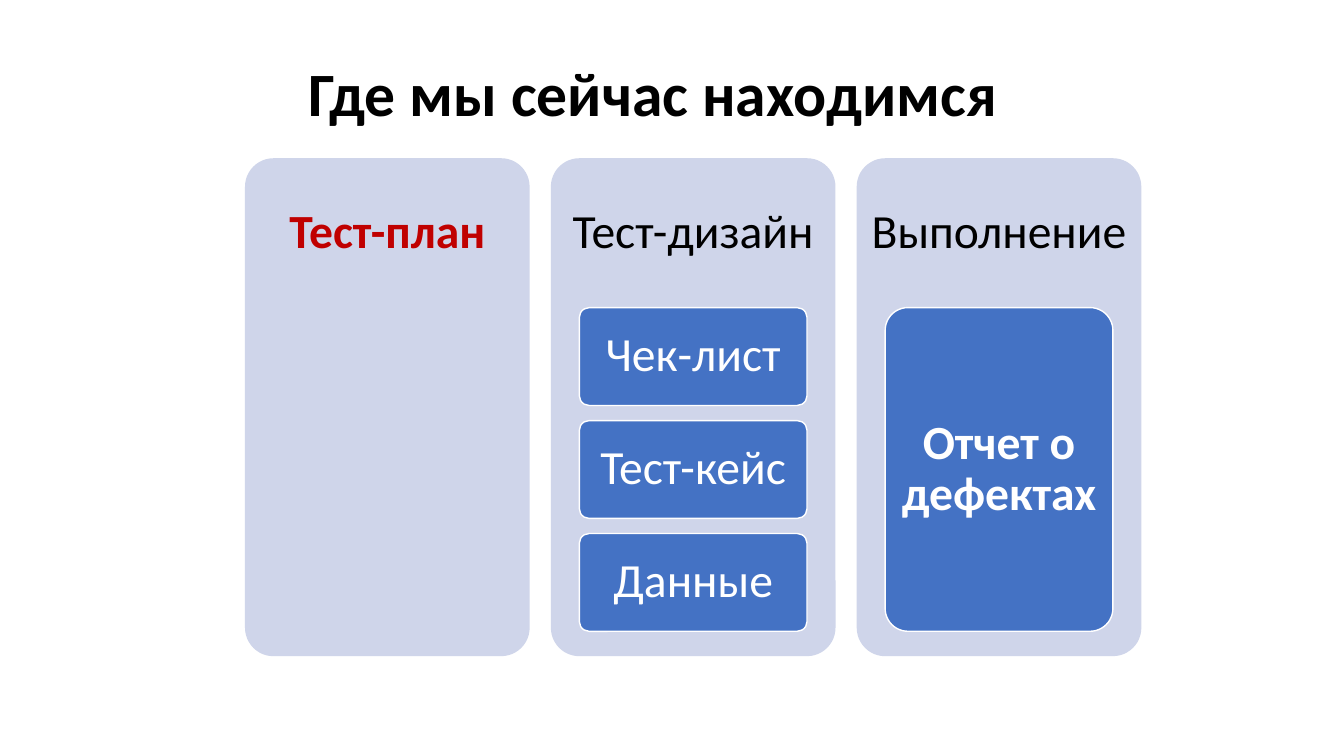
from pptx import Presentation
from pptx.dml.color import RGBColor
from pptx.enum.shapes import MSO_SHAPE
from pptx.enum.text import MSO_ANCHOR, PP_ALIGN
from pptx.util import Inches, Pt

ROUNDED = MSO_SHAPE.ROUNDED_RECTANGLE
MIDDLE = MSO_ANCHOR.MIDDLE
CENTER = PP_ALIGN.CENTER

FONT = "Calibri"
BLACK, WHITE, RED = "000000", "FFFFFF", "C00000"
PANEL, CARD = "CFD5EA", "4472C4"

# Heading, heading colour, cards, whether the heading and the cards are bold
STAGES = [
    ("Тест-план", RED, [], True, False),
    ("Тест-дизайн", BLACK, ["Чек-лист", "Тест-кейс", "Данные"], False, False),
    ("Выполнение", BLACK, ["Отчет о дефектах"], False, True),
]


def color(hex_string):
    return RGBColor.from_string(hex_string)


def write_text(shape, text, size, font_color, bold, inset=0.1):
    frame = shape.text_frame
    frame.word_wrap = True
    frame.vertical_anchor = MIDDLE
    frame.margin_left = frame.margin_right = Inches(inset)
    frame.margin_top = frame.margin_bottom = Inches(0.07)
    paragraph = frame.paragraphs[0]
    paragraph.text = text
    paragraph.alignment = CENTER
    paragraph.line_spacing = 0.9
    paragraph.font.name = FONT
    paragraph.font.size = Pt(size)
    paragraph.font.bold = bold
    paragraph.font.color.rgb = color(font_color)


def add_text(slide, box, text, size, font_color, bold):
    text_box = slide.shapes.add_textbox(*map(Inches, box))
    write_text(text_box, text, size, font_color, bold)


def add_rounded(slide, box, fill, line=None):
    shape = slide.shapes.add_shape(ROUNDED, *map(Inches, box))
    shape.adjustments[0] = 0.1
    shape.shadow.inherit = False
    shape.fill.solid()
    shape.fill.fore_color.rgb = color(fill)
    if line:
        shape.line.color.rgb = color(line)
        shape.line.width = Pt(1)
    else:
        shape.line.fill.background()
    return shape


def add_cards(slide, box, labels, bold):
    """Stack equal cards that together fill the box."""
    left, top, width, height = box
    gap = 0.15
    card_height = (height - gap * (len(labels) - 1)) / len(labels)
    for index, label in enumerate(labels):
        card_top = top + index * (card_height + gap)
        card = add_rounded(slide, (left, card_top, width, card_height), CARD, WHITE)
        write_text(card, label, 34, WHITE, bold, inset=0.09)


def add_stage(slide, box, heading, heading_color, labels, heading_bold, cards_bold):
    left, top, width, height = box
    heading_height = height * 0.3
    add_rounded(slide, box, PANEL)
    add_text(slide, (left, top, width, heading_height),
             heading, 34, heading_color, heading_bold)
    if labels:
        # Cards take 80% of the width and 65% of the height
        cards_box = (left + width * 0.1, top + heading_height,
                     width * 0.8, height * 0.65)
        add_cards(slide, cards_box, labels, cards_bold)


def add_stages(slide, box):
    left, top, width, height = box
    gap = 0.21
    stage_width = (width - gap * (len(STAGES) - 1)) / len(STAGES)
    for index, stage in enumerate(STAGES):
        stage_left = left + index * (stage_width + gap)
        add_stage(slide, (stage_left, top, stage_width, height), *stage)


def main():
    presentation = Presentation()
    presentation.slide_width = Inches(13.33)
    presentation.slide_height = Inches(7.5)
    slide = presentation.slides.add_slide(presentation.slide_layouts[6])

    # Title
    add_text(slide, (0.73, 0.4, 11.5, 1.11), "Где мы сейчас находимся", 44, BLACK, True)
    # Testing stages
    add_stages(slide, (2.43, 1.57, 8.89, 4.94))

    presentation.save("out.pptx")


if __name__ == "__main__":
    main()
